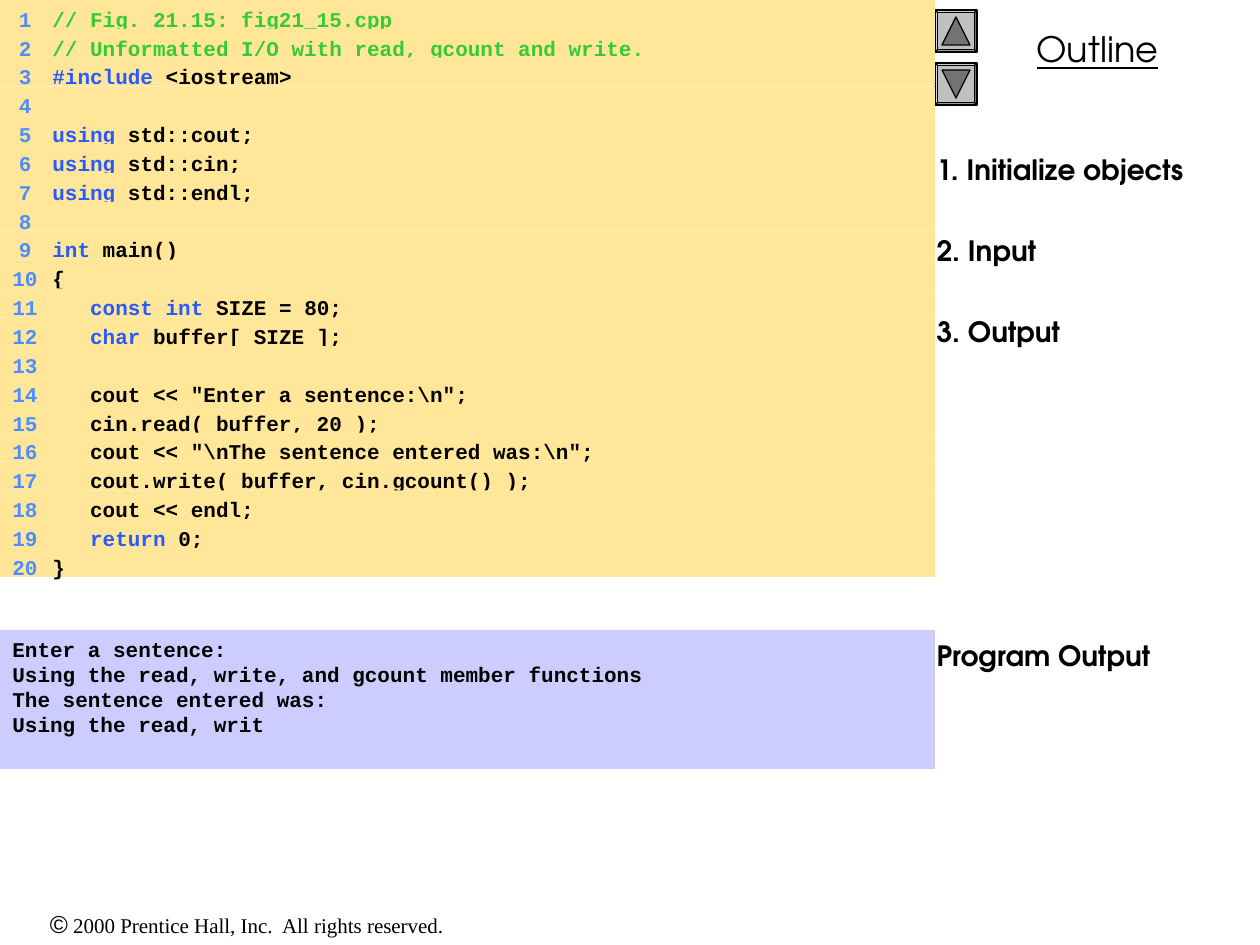
from lxml import etree
from pptx import Presentation
from pptx import util as u
from pptx.dml.color import RGBColor
from pptx.enum import shapes, text
from pptx.oxml import ns

# ---- Content ----
# Each code line is a list of (style, text) pieces.
CODE = [
    [("comment", "// Fig. 21.15: fig21_15.cpp")],
    [("comment", "// Unformatted I/O with read, gcount and write.")],
    [("keyword", "#include"), ("plain", " <iostream>")],
    [],
    [("keyword", "using"), ("plain", " std::cout;")],
    [("keyword", "using"), ("plain", " std::cin;")],
    [("keyword", "using"), ("plain", " std::endl;")],
    [],
    [("keyword", "int"), ("plain", " main()")],
    [("plain", "{")],
    [("keyword", "   const int"), ("plain", " SIZE = 80;")],
    [("keyword", "   char"), ("plain", " buffer[ SIZE ];")],
    [],
    [("plain", '   cout << "Enter a sentence:\\n";')],
    [("plain", "   cin.read( buffer, 20 );")],
    [("plain", '   cout << "\\nThe sentence entered was:\\n";')],
    [("plain", "   cout.write( buffer, cin.gcount() );")],
    [("plain", "   cout << endl;")],
    [("keyword", "   return"), ("plain", " 0;")],
    [("plain", "}")],
]
PROGRAM_OUTPUT = [
    "Enter a sentence:",
    "Using the read, write, and gcount member functions",
    "The sentence entered was:",
    "Using the read, writ",
]
# Outline entries with the space before each, in points.
OUTLINE = [("1. Initialize objects", 0), ("2. Input", 27.1),
           ("3. Output", 27.1), ("Program Output", 166)]
COPYRIGHT = [("symbol", "©"),
             ("footer", " 2000 Prentice Hall, Inc.  All rights reserved.")]

# ---- Theme ----
MONO, SANS = "Courier New", "TeX Gyre Adventor"
THEME = {
    "code_fill": "FFE699", "output_fill": "CCCCFF",
    "button": "C0C0C0", "arrow": "737373", "edge": "000000",
    "number": dict(name=MONO, size=12, bold=True, color="4D8DFF"),
    "comment": dict(name=MONO, size=12, bold=True, color="33CC33"),
    "keyword": dict(name=MONO, size=12, bold=True, color="275AFF"),
    "plain": dict(name=MONO, size=12, bold=True, color="000000"),
    "title": dict(name=SANS, size=20, bold=False, underline=True, color="000000"),
    "outline": dict(name=SANS, size=16, bold=True, color="000000"),
    "symbol": dict(name="Arial", size=14, color="000000"),
    "footer": dict(name="Times New Roman", size=12, color="000000"),
}

# ---- Layout, in px ----
PX_PER_INCH = 126
SLIDE_W, SLIDE_H = 1260, 945
CODE_W, CODE_H = 935, 577
OUTPUT_BOX = (0, 630, CODE_W, 139)
TITLE_BOX = (CODE_W, 21, SLIDE_W - CODE_W, 56)
OUTLINE_BOX = (924, 146, SLIDE_W - 924, SLIDE_H - 146)
FOOTER_BOX = (0, 903, 494, 43)
BUTTON, ARROW_INSET = 42, 7
BUTTONS = [(10, 0), (63, 180)]  # top, arrow rotation
CODE_TABS = [(19, "r"), (40, "l")]


def px(length):
    return u.Emu(round(length * 914400 / PX_PER_INCH))


def place(shape, box):
    for side, length in zip(("left", "top", "width", "height"), box):
        setattr(shape, side, px(length))


def add_runs(paragraph, pieces):
    for style, words in pieces:
        run = paragraph.add_run()
        run.text = words
        for key, value in THEME[style].items():
            if key == "color":
                run.font.color.rgb = RGBColor.from_string(value)
            else:
                setattr(run.font, key, u.Pt(value) if key == "size" else value)


def write(shape, lines, align=text.PP_ALIGN.LEFT, gaps=(), tabs=()):
    frame = shape.text_frame
    settings = dict(word_wrap=True, auto_size=text.MSO_AUTO_SIZE.NONE,
                    vertical_anchor=text.MSO_ANCHOR.TOP)
    for key, value in settings.items():
        setattr(frame, key, value)
    for index, pieces in enumerate(lines):
        paragraph = frame.add_paragraph() if index else frame.paragraphs[0]
        paragraph.alignment = align
        paragraph.space_before = u.Pt(gaps[index] if gaps else 0)
        if tabs:
            tab_list = etree.SubElement(paragraph._p.get_or_add_pPr(), ns.qn("a:tabLst"))
            for position, side in tabs:
                etree.SubElement(tab_list, ns.qn("a:tab"), pos=str(px(position)), algn=side)
        add_runs(paragraph, pieces)


def add_block(parent, kind, box, fill, edge=None):
    block = parent.shapes.add_shape(kind, *map(px, box))
    block.shadow.inherit = False
    block.fill.solid()
    block.fill.fore_color.rgb = RGBColor.from_string(fill)
    if edge:
        block.line.color.rgb = RGBColor.from_string(edge)
        block.line.width = u.Pt(0.75)
    else:
        block.line.fill.background()
    return block


def main():
    deck = Presentation()
    deck.slide_width, deck.slide_height = px(SLIDE_W), px(SLIDE_H)
    slide = deck.slides.add_slide(deck.slide_layouts[0])
    kinds = shapes.MSO_SHAPE

    # Outline heading and list
    heading, outline = slide.shapes.title, slide.placeholders[1]
    place(heading, TITLE_BOX)
    write(heading, [[("title", "Outline")]], text.PP_ALIGN.CENTER)
    place(outline, OUTLINE_BOX)
    write(outline, [[("outline", entry)] for entry, _ in OUTLINE],
          gaps=[gap for _, gap in OUTLINE])

    # Copyright line
    footer = slide.shapes.add_textbox(*map(px, FOOTER_BOX))
    write(footer, [COPYRIGHT], text.PP_ALIGN.CENTER)

    # Up and down buttons
    for top, rotation in BUTTONS:
        button = slide.shapes.add_group_shape()
        face = add_block(button, kinds.BEVEL, (CODE_W, top, BUTTON, BUTTON),
                         THEME["button"], THEME["edge"])
        face.adjustments[0] = 0.06
        arrow_size = BUTTON - 2 * ARROW_INSET
        arrow = add_block(button, kinds.ISOSCELES_TRIANGLE,
                          (CODE_W + ARROW_INSET, top + ARROW_INSET, arrow_size, arrow_size),
                          THEME["arrow"], THEME["edge"])
        arrow.rotation = rotation

    # Numbered code listing, one strip per line
    listing = slide.shapes.add_group_shape()
    row_h = CODE_H / len(CODE)
    for index, pieces in enumerate(CODE):
        strip = add_block(listing, kinds.RECTANGLE, (0, index * row_h, CODE_W, row_h),
                          THEME["code_fill"])
        write(strip, [[("number", f"\t{index + 1}\t"), *pieces]], tabs=CODE_TABS)

    # Program output
    output = add_block(slide, kinds.RECTANGLE, OUTPUT_BOX, THEME["output_fill"])
    write(output, [[("plain", line)] for line in PROGRAM_OUTPUT])

    deck.save("out.pptx")


if __name__ == "__main__":
    main()
